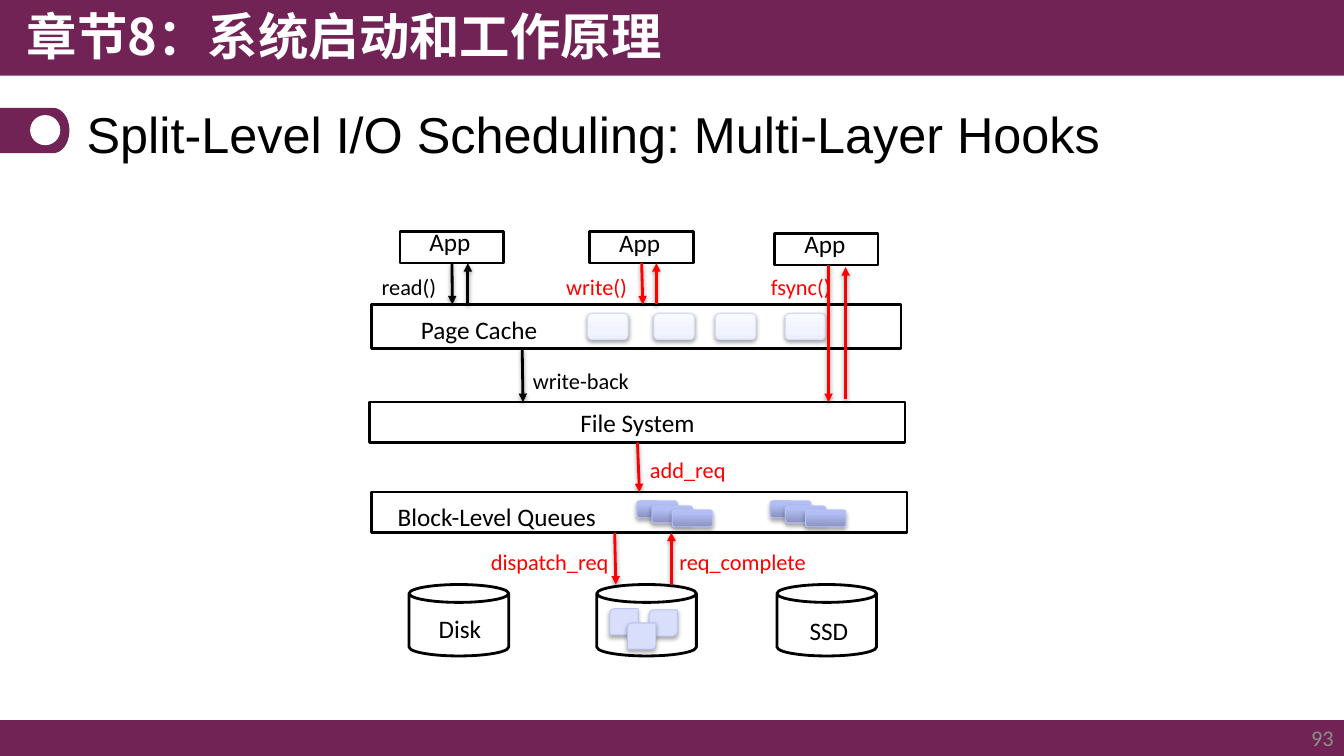
import copy
import math

from lxml import etree
from pptx import Presentation
from pptx import util as u
from pptx.dml.color import RGBColor
from pptx.enum import shapes, text
from pptx.oxml.ns import qn

PLUM = RGBColor(0x71, 0x23, 0x55)
WHITE = RGBColor(0xFF, 0xFF, 0xFF)
BLACK = RGBColor(0, 0, 0)
RED = RGBColor(0xFF, 0, 0)
GREY = RGBColor(0x8C, 0x8C, 0x8C)
PAGE_EDGE = RGBColor(0xD6, 0xDC, 0xF5)
BLOCK_EDGE = RGBColor(0xBA, 0xC4, 0xF2)
BLOCK_FILL = RGBColor(0xD9, 0xDF, 0xFA)
PAGE_STOPS = [(0, RGBColor(0xEC, 0xEF, 0xFF)), (0.35, RGBColor(0xF1, 0xF3, 0xFF)),
              (1, RGBColor(0xF9, 0xFA, 0xFF))]
REQUEST_STOPS = [(0, RGBColor(0x89, 0x92, 0xBE)), (0.8, RGBColor(0xB2, 0xBE, 0xF6)),
                 (1, RGBColor(0xB2, 0xBE, 0xF9))]
RECT = shapes.MSO_SHAPE.RECTANGLE
ROUNDED = shapes.MSO_SHAPE.ROUNDED_RECTANGLE
LEFT, CENTER, RIGHT = text.PP_ALIGN.LEFT, text.PP_ALIGN.CENTER, text.PP_ALIGN.RIGHT

# Content; all lengths in cm
CHAPTER = "章节8：系统启动和工作原理"
TITLE = "Split-Level I/O Scheduling: Multi-Layer Hooks"
PAGE_NUMBER = "93"
SLIDE_W, SLIDE_H = 33.87, 19.05

LAYERS = {  # name: left, top, width, height
    "cache": (9.37, 7.67, 13.34, 1.12),
    "files": (9.32, 10.13, 13.49, 1.02),
    "queues": (9.37, 12.4, 13.49, 1.02),
    "reader": (10.08, 5.84, 2.62, 0.79),
    "writer": (14.86, 5.84, 2.62, 0.79),
    "syncer": (19.51, 5.89, 2.62, 0.79),
}
LAYER_LABELS = [  # text, left, top, width
    ("App", 10.03, 5.59, 2.62),
    ("App", 14.81, 5.61, 2.62),
    ("App", 19.48, 5.64, 2.62),
    ("Page Cache", 9.32, 7.8, 5.51),
    ("File System", 9.32, 10.13, 13.49),
    ("Block-Level Queues", 9.37, 12.5, 6.3),
    ("Disk", 10.46, 15.34, 2.26),
    ("SSD", 19.76, 15.37, 2.26),
]
CALL_LABELS = [  # text, left, top, width, colour
    ("read()", 9.37, 6.76, 2.03, BLACK),
    ("write()", 14.02, 6.76, 2.29, RED),
    ("fsync()", 19.18, 6.76, 2.06, RED),
    ("write-back", 13.18, 9.12, 3.35, BLACK),
    ("add_req", 16.13, 11.38, 2.59, RED),
    ("dispatch_req", 12.12, 13.69, 3.76, RED),
    ("req_complete", 16.87, 13.69, 3.94, RED),
]
ARROWS = [  # x1, y1, x2, y2, colour, layer it leaves, layer it enters
    (11.4, 6.63, 11.4, 7.67, BLACK, "reader", None),
    (11.79, 7.67, 11.79, 6.63, BLACK, None, None),
    (16.2, 6.63, 16.2, 7.67, RED, "writer", None),
    (16.54, 7.67, 16.54, 6.63, RED, None, None),
    (20.88, 6.68, 20.88, 10.13, RED, None, None),
    (21.31, 10.06, 21.31, 6.73, RED, None, None),
    (13.16, 8.79, 13.18, 10.13, BLACK, None, None),
    (16.07, 11.15, 16.12, 12.4, RED, "files", "queues"),
    (15.49, 13.42, 15.52, 14.73, RED, None, None),
    (16.92, 14.73, 16.92, 13.42, RED, None, None),
]
DISKS_X, DISK_Y = [10.31, 15.04, 19.58], 14.73
PAGES_X, PAGE_Y = [14.81, 16.48, 18.03, 19.79], 7.9
STACKS_X, STACK_Y = [16.05, 19.41], 12.62
STACK_STEPS = [(0, 0), (0.38, 0.13), (0.89, 0.23)]
DISK_BLOCKS = [(15.37, 15.34), (16.36, 15.37), (15.82, 15.7)]

prs = Presentation()
prs.slide_width, prs.slide_height = u.Cm(SLIDE_W), u.Cm(SLIDE_H)
slide = prs.slides.add_slide(prs.slide_layouts[5])


def cm(*lengths):
    return [u.Cm(length) for length in lengths]


def add_shadow(effects, alpha, distance):
    shadow = etree.SubElement(effects, qn("a:outerShdw"), blurRad="40000",
                              dist=str(distance), dir="5400000", rotWithShape="0")
    colour = etree.SubElement(shadow, qn("a:srgbClr"), val="000000")
    etree.SubElement(colour, qn("a:alpha"), val=str(alpha * 1000))


def paint(shape, fill, edge=None, width=2):
    shape.shadow.inherit = False
    if isinstance(fill, list):
        shape.fill.gradient()
        stops = shape._element.spPr.find(".//" + qn("a:gsLst"))
        stops.append(copy.deepcopy(stops[-1]))
        for stop, (position, colour) in zip(shape.fill.gradient_stops, fill):
            stop.position, stop.color.rgb = position, colour
        shape.fill.gradient_angle = 90
    else:
        shape.fill.solid()
        shape.fill.fore_color.rgb = fill
    if edge is None:
        shape.line.fill.background()
    else:
        shape.line.color.rgb, shape.line.width = edge, u.Pt(width)


def add_box(kind, box, fill, edge=None, width=2):
    shape = slide.shapes.add_shape(kind, *cm(*box))
    paint(shape, fill, edge, width)
    return shape


def add_block(kind, box, fill, edge, alpha=35, distance=23000):
    block = add_box(kind, box, fill, edge, 0.75)
    add_shadow(block._element.spPr.find(qn("a:effectLst")), alpha, distance)


def write(frame, words, size, colour, font="Calibri", align=LEFT, bold=False):
    frame.word_wrap = True
    paragraph = frame.paragraphs[0]
    paragraph.text, paragraph.alignment = words, align
    paragraph.font.size, paragraph.font.name = u.Pt(size), font
    paragraph.font.color.rgb, paragraph.font.bold = colour, bold


def add_label(words, box, size, colour, **style):
    frame = slide.shapes.add_textbox(*cm(*box)).text_frame
    write(frame, words, size, colour, **style)
    return frame


# Header and footer bars
add_box(RECT, (0, 18.15, SLIDE_W, 0.9), PLUM)
add_box(RECT, (0, 0, SLIDE_W, 1.91), PLUM)
chapter = add_label(CHAPTER, (0.43, 0, 19.3, 1.96), 36, WHITE,
                    font="Noto Sans CJK SC", bold=True)
run_props = chapter.paragraphs[0].runs[0]._r.get_or_add_rPr()
etree.SubElement(run_props, qn("a:ea"), typeface="Noto Sans CJK SC")
number = add_label(PAGE_NUMBER, (26.24, 18.14, 7.62, 0.91), 16, GREY, align=RIGHT)
number.vertical_anchor = text.MSO_ANCHOR.MIDDLE

# Title and its badge, rounded on the right
curve = [(1.34 + 0.41 * math.cos(math.radians(a)), 3.29 + 0.57 * math.sin(math.radians(a)))
         for a in range(-90, 91, 6)]
outline = slide.shapes.build_freeform(*cm(0, 2.72))
outline.add_line_segments([cm(*point) for point in curve + [(0, 3.86)]], close=True)
paint(outline.convert_to_shape(), PLUM)
add_box(shapes.MSO_SHAPE.OVAL, (0.76, 2.9, 0.76, 0.76), WHITE)

title = slide.shapes.title
title.left, title.top, title.width, title.height = cm(1.93, 2.41, 30, 1.88)
title.text_frame.vertical_anchor = text.MSO_ANCHOR.MIDDLE
write(title.text_frame, TITLE, 36, BLACK, font="Arial")

# Layers and disks
layers = {name: add_box(RECT, box, WHITE, BLACK) for name, box in LAYERS.items()}
for x in DISKS_X:
    add_box(shapes.MSO_SHAPE.CAN, (x, DISK_Y, 2.51, 1.8), WHITE, BLACK)

# Cached pages, queued requests and blocks on disk
for x in PAGES_X:
    add_block(ROUNDED, (x, PAGE_Y, 1.02, 0.66), PAGE_STOPS, PAGE_EDGE, 38, 20000)
for x in STACKS_X:
    for dx, dy in STACK_STEPS:
        add_block(ROUNDED, (x + dx, STACK_Y + dy, 1.02, 0.43), REQUEST_STOPS, BLOCK_EDGE)
for x, y in DISK_BLOCKS:
    add_block(shapes.MSO_SHAPE.ROUND_2_DIAG_RECTANGLE, (x, y, 0.71, 0.66),
              BLOCK_FILL, BLOCK_EDGE)

# Labels
for words, x, y, width in LAYER_LABELS:
    add_label(words, (x, y, width, 1.02), 18, BLACK, align=CENTER)
for words, x, y, width, colour in CALL_LABELS:
    add_label(words, (x, y, width, 0.94), 16, colour)

# Arrows between the layers
for x1, y1, x2, y2, colour, source, target in ARROWS:
    arrow = slide.shapes.add_connector(shapes.MSO_CONNECTOR.STRAIGHT, *cm(x1, y1, x2, y2))
    if source:
        arrow.begin_connect(layers[source], 2)
    if target:
        arrow.end_connect(layers[target], 0)
    arrow.line.color.rgb, arrow.line.width = colour, u.Pt(2)
    props = arrow._element.spPr
    etree.SubElement(props.find(qn("a:ln")), qn("a:tailEnd"), type="triangle")
    add_shadow(etree.SubElement(props, qn("a:effectLst")), 38, 20000)

prs.save("out.pptx")
